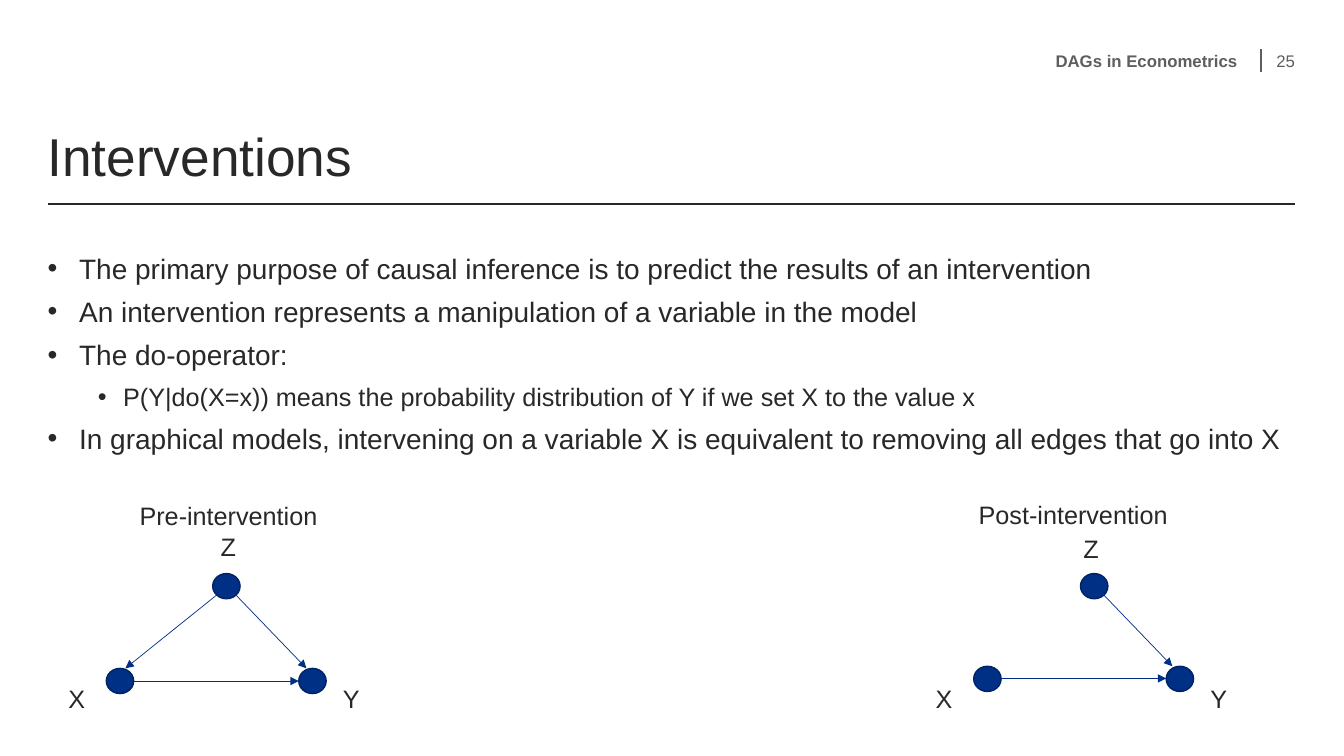
from dataclasses import dataclass

from lxml.etree import SubElement
from pptx import Presentation
from pptx.dml.color import RGBColor
from pptx.enum.shapes import MSO_CONNECTOR, MSO_SHAPE
from pptx.enum.text import MSO_ANCHOR, MSO_AUTO_SIZE, PP_ALIGN
from pptx.oxml.ns import qn
from pptx.slide import Slide
from pptx.text.text import TextFrame, _Paragraph
from pptx.util import Pt

COLORS = {"text": "282828", "muted": "5E5E5E", "node": "002F86", "outline": "002363"}
FONT = "Arial"
NODE_WIDTH, NODE_HEIGHT = 19.6, 18
LEFT, RIGHT = 34, 925


@dataclass
class Label:
    text: str
    left: float
    top: float
    width: float
    height: float = 29


@dataclass
class Line:
    x1: float
    y1: float
    x2: float
    y2: float


@dataclass
class Graph:
    nodes: list[tuple[float, float]]
    edges: list[Line]
    labels: list[Label]


@dataclass
class Bullet:
    text: str
    level: int = 0


@dataclass
class BulletStyle:
    size: float
    margin: float
    indent: float


BULLET_STYLES = [BulletStyle(20, 22.5, -22.5), BulletStyle(18, 54, -18)]
BULLETS = [
    Bullet("The primary purpose of causal inference is to predict the results of an intervention"),
    Bullet("An intervention represents a manipulation of a variable in the model"),
    Bullet("The do-operator:"),
    Bullet("P(Y|do(X=x)) means the probability distribution of Y if we set X to the value x", 1),
    Bullet("In graphical models, intervening on a variable X is equivalent to removing all edges that go into X"),
]
GRAPHS = [
    Graph(
        nodes=[(151.9, 409.7), (75.9, 477.4), (213.4, 477.4)],
        edges=[
            Line(154.8, 425, 89.6, 477.4),
            Line(168.5, 425, 218.9, 477.4),
            Line(95.5, 486.5, 213.4, 486.5),
        ],
        labels=[
            Label("X", 41.8, 484.6, 34.6),
            Label("Y", 237.8, 484.6, 34.6),
            Label("Z", 150.5, 375.8, 29.5),
            Label("Pre-intervention", 92.6, 353.5, 145.4),
        ],
    ),
    Graph(
        nodes=[(771.8, 409.7), (695.5, 475.9), (833, 475.9)],
        edges=[
            Line(787, 423.5, 837.4, 475.9),
            Line(715.1, 484.6, 833, 484.6),
        ],
        labels=[
            Label("X", 661.2, 484.6, 34.6),
            Label("Y", 857.5, 484.6, 34.6),
            Label("Z", 766.8, 377.3, 29.5),
            Label("Post-intervention", 692, 352.8, 161.3),
        ],
    ),
]


def rgb(name: str) -> RGBColor:
    return RGBColor.from_string(COLORS[name])


def format_runs(para: _Paragraph, size: float, color: str, bold: bool = False) -> None:
    for span in para.runs:
        span.font.name = FONT
        span.font.size = Pt(size)
        span.font.bold = bold
        span.font.color.rgb = rgb(color)


def clear_insets(frame: TextFrame, anchor: MSO_ANCHOR) -> None:
    frame.margin_left = frame.margin_top = frame.margin_right = frame.margin_bottom = 0
    frame.vertical_anchor = anchor
    frame.word_wrap = True
    frame.auto_size = MSO_AUTO_SIZE.NONE


def place(shape, left: float, top: float, width: float, height: float) -> None:
    shape.left, shape.top = Pt(left), Pt(top)
    shape.width, shape.height = Pt(width), Pt(height)


def add_line(page: Slide, line: Line, color: str, width: float, arrow: bool = False) -> None:
    connector = page.shapes.add_connector(
        MSO_CONNECTOR.STRAIGHT, Pt(line.x1), Pt(line.y1), Pt(line.x2), Pt(line.y2)
    )
    connector.line.color.rgb = rgb(color)
    connector.line.width = Pt(width)
    properties = connector._element.spPr
    if arrow:
        SubElement(properties.find(qn("a:ln")), qn("a:tailEnd"), type="triangle")
    SubElement(properties, qn("a:effectLst"))


def add_label(page: Slide, label: Label) -> TextFrame:
    box = page.shapes.add_textbox(Pt(label.left), Pt(label.top), Pt(label.width), Pt(label.height))
    frame = box.text_frame
    frame.word_wrap = True
    frame.text = label.text
    format_runs(frame.paragraphs[0], 18, "text")
    return frame


def add_header(page: Slide, label: Label, bold: bool) -> None:
    frame = add_label(page, label)
    clear_insets(frame, MSO_ANCHOR.MIDDLE)
    para = frame.paragraphs[0]
    para.alignment = PP_ALIGN.RIGHT
    format_runs(para, 12, "muted", bold)


def fill_title(page: Slide) -> None:
    title = page.shapes.title
    place(title, LEFT, 90, RIGHT - LEFT, 44)
    clear_insets(title.text_frame, MSO_ANCHOR.BOTTOM)
    title.text_frame.text = "Interventions"
    para = title.text_frame.paragraphs[0]
    para.alignment = PP_ALIGN.LEFT
    para.line_spacing = 0.9
    format_runs(para, 38, "text")


def fill_body(page: Slide) -> None:
    body = page.placeholders[1]
    place(body, LEFT, 179.3, RIGHT - LEFT, 165.6)
    frame = body.text_frame
    clear_insets(frame, MSO_ANCHOR.TOP)
    frame.text = "\n".join(bullet.text for bullet in BULLETS)
    for index, (para, bullet) in enumerate(zip(frame.paragraphs, BULLETS)):
        style = BULLET_STYLES[bullet.level]
        para.level = bullet.level
        properties = para._p.get_or_add_pPr()
        properties.set("marL", str(Pt(style.margin)))
        properties.set("indent", str(Pt(style.indent)))
        SubElement(properties, qn("a:buFont"), typeface=FONT)
        SubElement(properties, qn("a:buChar"), char="•")
        para.space_before = Pt(7 if index else 0)
        format_runs(para, style.size, "text")


def draw_graph(page: Slide, graph: Graph) -> None:
    for left, top in graph.nodes:
        node = page.shapes.add_shape(
            MSO_SHAPE.OVAL, Pt(left), Pt(top), Pt(NODE_WIDTH), Pt(NODE_HEIGHT)
        )
        node.shadow.inherit = False
        node.fill.solid()
        node.fill.fore_color.rgb = rgb("node")
        node.line.color.rgb = rgb("outline")
        node.line.width = Pt(1)
    for edge in graph.edges:
        add_line(page, edge, "node", 0.5, arrow=True)
    for label in graph.labels:
        add_label(page, label)


def main() -> None:
    deck = Presentation()
    deck.slide_width, deck.slide_height = Pt(960), Pt(540)
    page = deck.slides.add_slide(deck.slide_layouts[1])
    add_line(page, Line(LEFT, 145.6, RIGHT, 145.6), "text", 1)
    add_line(page, Line(900.7, 51.2, 900.7, 35.2), "muted", 1)
    fill_title(page)
    add_header(page, Label("DAGs in Econometrics", 318, 35.3, 566, 16.5), bold=True)
    add_header(page, Label("25", 904, 35.3, 21, 16.5), bold=False)
    fill_body(page)
    for graph in GRAPHS:
        draw_graph(page, graph)
    deck.save("out.pptx")


if __name__ == "__main__":
    main()
